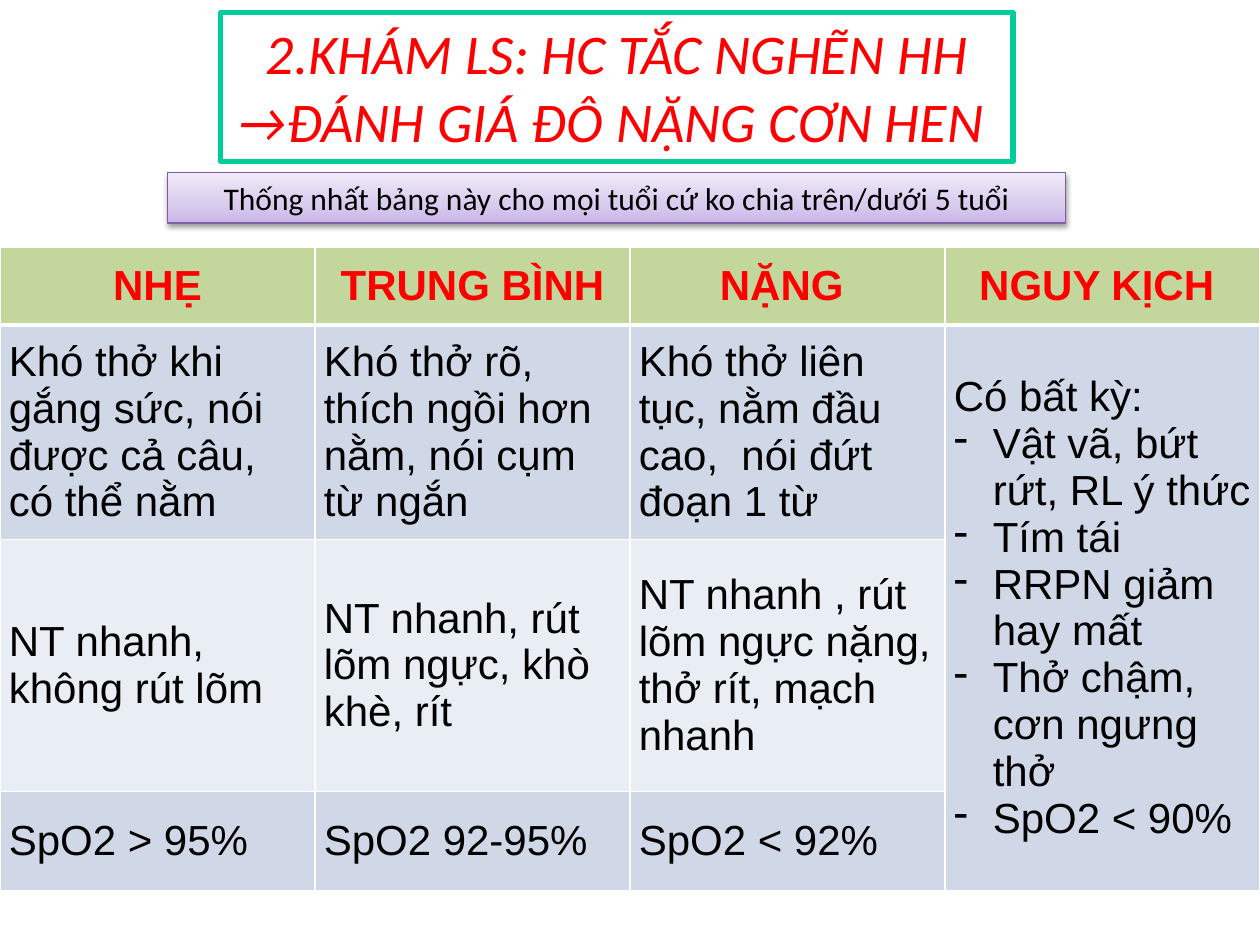
"""Build a slide that grades the severity of an asthma attack."""
from dataclasses import dataclass

from pptx import Presentation
from pptx.dml.color import RGBColor as Color
from pptx.enum.shapes import MSO_SHAPE as Shape
from pptx.enum.text import MSO_ANCHOR as Anchor, MSO_AUTO_SIZE as AutoSize, PP_ALIGN as Align
from pptx.oxml import parse_xml
from pptx.oxml.ns import nsdecls, qn
from pptx.util import Emu, Inches, Pt

COLORS = {
    "red": "FF0000", "black": "000000", "white": "FFFFFF", "green": "00CC99",
    "purple": "7D60A0", "header": "C3D69B", "odd": "D0D8E8", "even": "E9EDF4",
}
LILAC_STOPS = ((0, "C9B5E8"), (35, "D8CBEE"), (100, "F0EAF9"))
GRID_COLUMNS, GRID_ROWS = 100, 75
UNIT = Inches(0.1)
ROW_HEIGHTS = (6.2, 17, 20, 7.9)
HEADINGS = ("NHẸ", "TRUNG BÌNH", "NẶNG ", "NGUY KỊCH ")
FINDINGS = (
    ("Khó thở khi gắng sức, nói được cả câu, có thể nằm",
     "Khó thở rõ, thích ngồi hơn nằm, nói cụm từ ngắn",
     "Khó thở liên tục, nằm đầu cao,  nói đứt đoạn 1 từ"),
    ("NT nhanh, không rút lõm",
     "NT nhanh, rút lõm ngực, khò khè, rít",
     "NT nhanh , rút lõm ngực nặng, thở rít, mạch nhanh"),
    ("SpO2 > 95%", "SpO2 92-95%", "SpO2 < 92%"),
)
CRITICAL_INTRO = "Có bất kỳ:"
CRITICAL_SIGNS = ("Vật vã, bứt rứt, RL ý thức", "Tím tái", "RRPN giảm hay mất",
                  "Thở chậm, cơn ngưng thở", "SpO2 < 90%")


@dataclass(frozen=True)
class Style:
    font: str
    size: int
    color: str
    bold: bool = False
    italic: bool = False
    align: Align = Align.LEFT


@dataclass(frozen=True)
class Banner:
    left: float
    top: float
    width: float
    height: float
    lines: tuple
    style: Style
    outline: str
    outline_width: float
    wrap: bool = True


TITLE = Banner(17.5, 1, 62.9, 11.8,
               ("2.KHÁM LS: HC TẮC NGHẼN HH", "→ĐÁNH GIÁ ĐÔ NẶNG CƠN HEN "),
               Style("Calibri", 32, "red", italic=True, align=Align.CENTER),
               "green", 3, wrap=False)
NOTE = Banner(13.3, 13.7, 71.3, 4,
              ("Thống nhất bảng này cho mọi tuổi cứ ko chia trên/dưới 5 tuổi",),
              Style("Calibri", 18, "black", align=Align.CENTER), "purple", 0.75)
HEADING = Style("Arial", 24, "red", bold=True, align=Align.CENTER)
BODY = Style("Arial", 24, "black")


def grid(count: float) -> Emu:
    """Turn a count of grid units into a length."""
    return Emu(round(count * UNIT))


def rgb(name: str) -> Color:
    """Look up a named colour."""
    return Color.from_string(COLORS[name])


def write(frame, lines: tuple, style: Style, first_bullet: int | None = None) -> None:
    """Write one paragraph a line, with dashes from first_bullet onwards."""
    for index, line in enumerate(lines):
        para = frame.add_paragraph() if index else frame.paragraphs[0]
        para.text = line
        para.alignment = style.align
        if first_bullet is not None and index >= first_bullet:
            properties = para._p.get_or_add_pPr()
            properties.set("marL", str(Inches(0.31)))
            properties.set("indent", str(-Inches(0.31)))
            properties.append(parse_xml(f'<a:buChar {nsdecls("a")} char="-"/>'))
        font = para.font
        font.name, font.size = style.font, Pt(style.size)
        font.bold, font.italic = style.bold, style.italic
        font.color.rgb = rgb(style.color)


def add_banner(page, banner: Banner):
    """Draw an outlined rectangle with centred text."""
    box = page.shapes.add_shape(Shape.RECTANGLE, grid(banner.left), grid(banner.top),
                                grid(banner.width), grid(banner.height))
    box.shadow.inherit = False
    box.fill.background()
    box.line.color.rgb = rgb(banner.outline)
    box.line.width = Pt(banner.outline_width)
    frame = box.text_frame
    frame.word_wrap = banner.wrap
    frame.auto_size = AutoSize.SHAPE_TO_FIT_TEXT
    frame.vertical_anchor = Anchor.TOP
    write(frame, banner.lines, banner.style)
    return box


def add_lilac_finish(box) -> None:
    """Give a box a rising gradient and a soft shadow below."""
    stops = "".join(f'<a:gs pos="{share * 1000}"><a:srgbClr val="{color}"/></a:gs>'
                    for share, color in LILAC_STOPS)
    properties = box._element.spPr
    properties.replace(properties.find(qn("a:noFill")), parse_xml(
        f'<a:gradFill {nsdecls("a")} rotWithShape="1"><a:gsLst>{stops}</a:gsLst>'
        '<a:lin ang="16200000" scaled="0"/></a:gradFill>'))
    properties.find(qn("a:effectLst")).append(parse_xml(
        f'<a:outerShdw {nsdecls("a")} blurRad="{Pt(3.1)}" dist="{Pt(1.6)}" dir="5400000" '
        f'rotWithShape="0"><a:srgbClr val="{COLORS["black"]}"><a:alpha val="38000"/>'
        '</a:srgbClr></a:outerShdw>'))


def format_cell(cell, fill: str, top: float, bottom: float) -> None:
    """Set the margins, white borders and fill of a cell."""
    cell.vertical_anchor = Anchor.MIDDLE
    cell.margin_left = cell.margin_right = Inches(0.07)
    cell.margin_top = cell.margin_bottom = Inches(0.05)
    properties = cell._tc.get_or_add_tcPr()
    for side, width in (("L", 1), ("R", 1), ("T", top), ("B", bottom)):
        properties.append(parse_xml(
            f'<a:ln{side} {nsdecls("a")} w="{Pt(width)}"><a:solidFill>'
            f'<a:srgbClr val="{COLORS["white"]}"/></a:solidFill></a:ln{side}>'))
    cell.fill.solid()
    cell.fill.fore_color.rgb = rgb(fill)


def add_severity_table(page) -> None:
    """Draw the table with one column for each grade."""
    rows, columns = len(ROW_HEIGHTS), len(HEADINGS)
    table = page.shapes.add_table(rows, columns, 0, grid(19.6), grid(GRID_COLUMNS),
                                  grid(sum(ROW_HEIGHTS))).table
    table.first_row = table.horz_banding = False
    for row, height in enumerate(ROW_HEIGHTS):
        table.rows[row].height = grid(height)
        fill = "header" if row == 0 else "odd" if row % 2 else "even"
        for column in range(columns):
            format_cell(table.cell(row, column), fill,
                        3 if row == 1 else 1, 3 if row == 0 else 1)
    for row, texts in enumerate((HEADINGS, *FINDINGS)):
        for column, text in enumerate(texts):
            write(table.cell(row, column).text_frame, (text,), BODY if row else HEADING)
    critical = table.cell(1, columns - 1)
    critical.merge(table.cell(rows - 1, columns - 1))
    write(critical.text_frame, (CRITICAL_INTRO, *CRITICAL_SIGNS), BODY, first_bullet=1)


def main() -> None:
    """Build and save the deck."""
    deck = Presentation()
    deck.slide_width, deck.slide_height = grid(GRID_COLUMNS), grid(GRID_ROWS)
    page = deck.slides.add_slide(deck.slide_layouts[6])
    add_banner(page, TITLE)
    add_lilac_finish(add_banner(page, NOTE))
    add_severity_table(page)
    deck.save("out.pptx")


if __name__ == "__main__":
    main()
